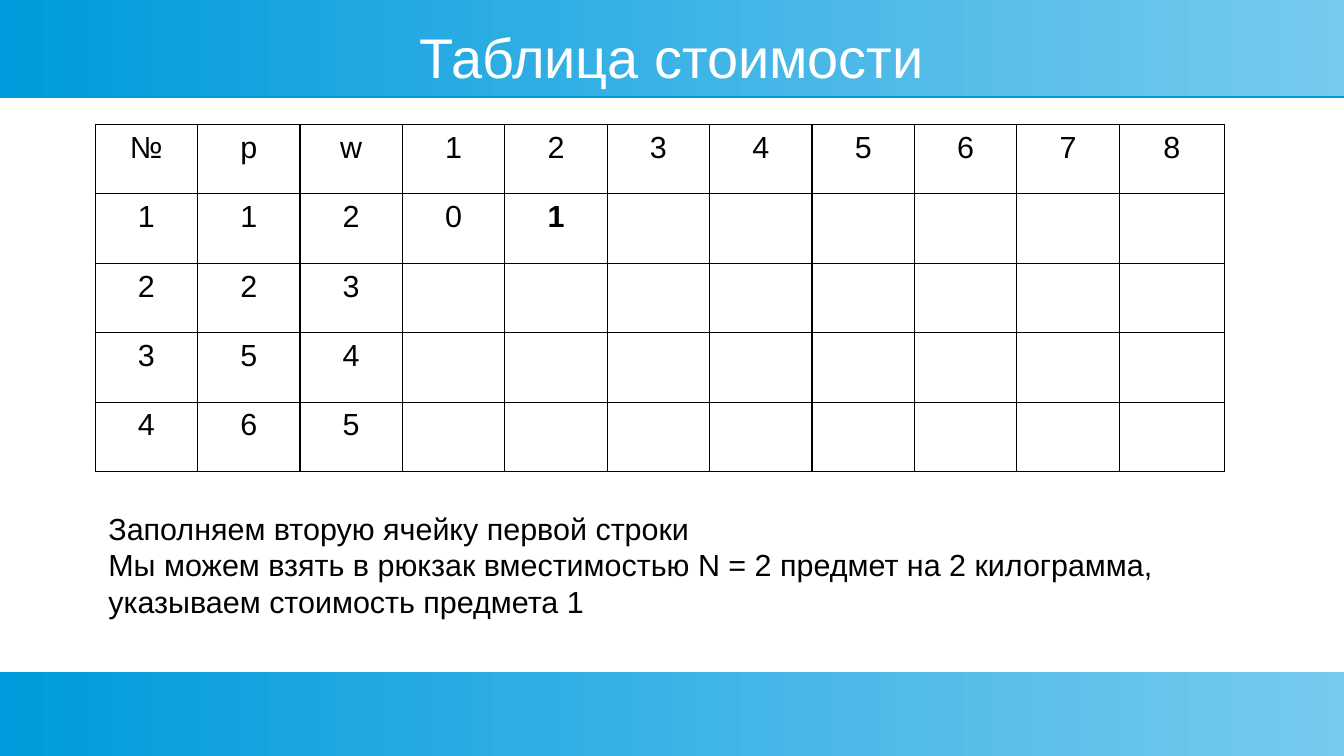
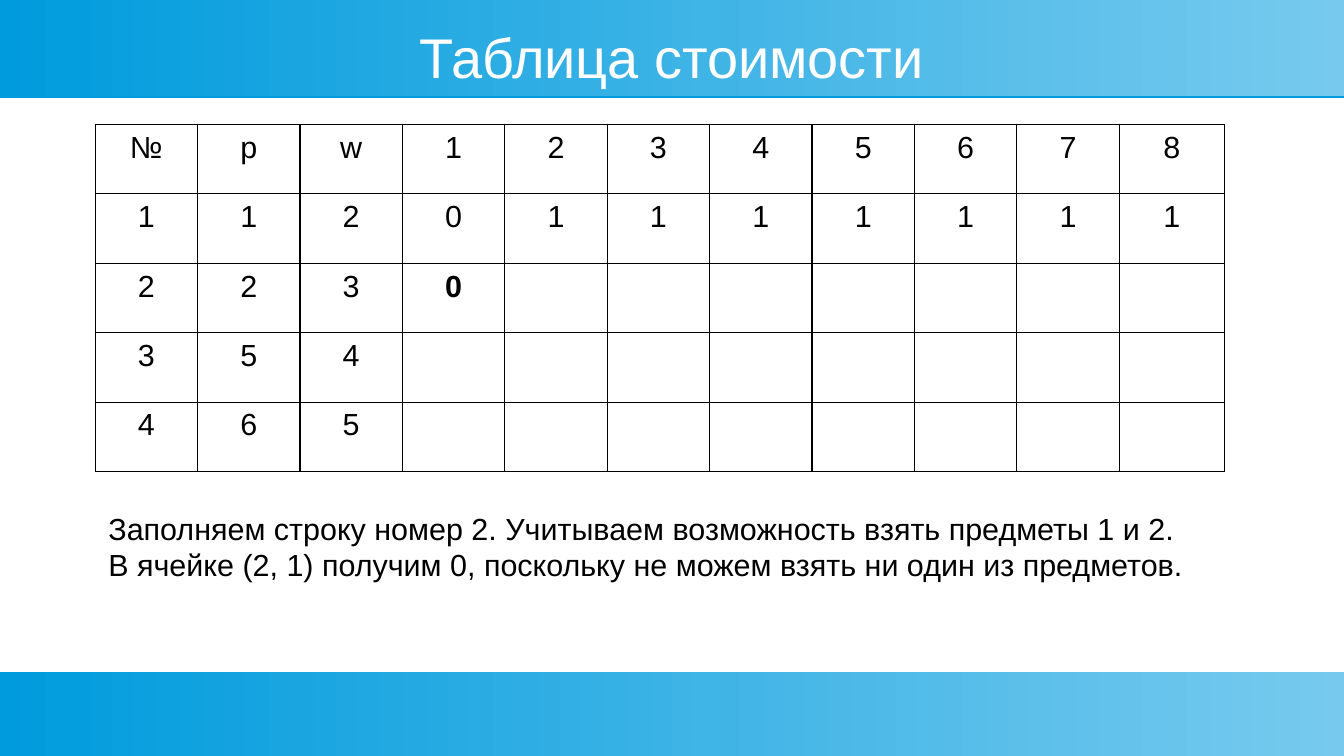
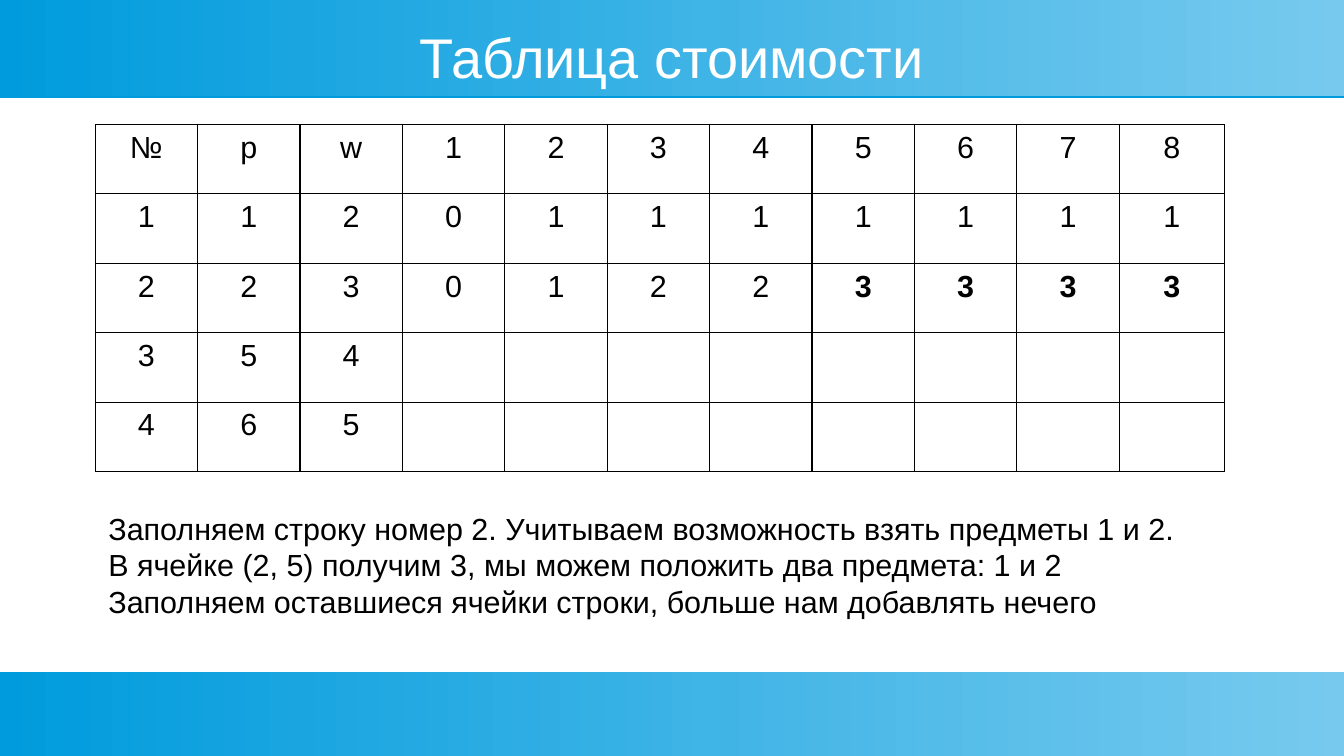
from lxml import etree
from pptx import Presentation
from pptx import util as u
from pptx.dml.color import RGBColor
from pptx.enum import shapes, text
from pptx.oxml import ns

WHITE = RGBColor(0xFF, 0xFF, 0xFF)
BLACK = RGBColor(0x00, 0x00, 0x00)
LIGHT_BLUE = RGBColor(0x77, 0xCA, 0xEE)
BLUE = RGBColor(0x00, 0x9B, 0xDD)
FONT = "Arial"
SLIDE_WIDTH = 11.02
SLIDE_HEIGHT = 6.2
BANDS = [(0, 0.79), (5.51, 0.69)]
TITLE = "Таблица стоимости"
CAPACITIES = range(1, 9)
HEADER = ["№", "p", "w"] + [str(capacity) for capacity in CAPACITIES]
ITEMS = [(1, 2), (2, 3), (5, 4), (6, 5)]
COLUMN_WIDTH = 0.84
LAST_COLUMN_WIDTH = 0.86
ROW_HEIGHT = 0.57

STEPS = [
    (
        [[0, 1]],
        {(1, 2)},
        [
            "Заполняем вторую ячейку первой строки",
            "Мы можем взять в рюкзак вместимостью N = 2 предмет на 2 килограмма, "
            "указываем стоимость предмета 1",
        ],
    ),
    (
        [[0, 1, 1, 1, 1, 1, 1, 1], [0]],
        {(2, 1)},
        [
            "Заполняем строку номер 2. Учитываем возможность взять предметы 1 и 2.",
            "В ячейке (2, 1) получим 0, поскольку не можем взять ни один из предметов.",
        ],
    ),
    (
        [[0, 1, 1, 1, 1, 1, 1, 1], [0, 1, 2, 2, 3, 3, 3, 3]],
        {(2, capacity) for capacity in range(5, 9)},
        [
            "Заполняем строку номер 2. Учитываем возможность взять предметы 1 и 2.",
            "В ячейке (2, 5) получим 3, мы можем положить два предмета: 1 и 2",
            "Заполняем оставшиеся ячейки строки, больше нам добавлять нечего",
        ],
    ),
]


def add_element(parent, tag, **attributes):
    return etree.SubElement(parent, ns.qn(tag), attributes)


def add_run(paragraph, wording, size, color, bold=False):
    run = paragraph.add_run()
    run.text = wording
    run.font.name = FONT
    run.font.size = u.Pt(size)
    run.font.bold = bold
    run.font.color.rgb = color


def add_band(slide, top, height):
    band = slide.shapes.add_shape(
        shapes.MSO_SHAPE.RECTANGLE, 0, u.Inches(top), u.Inches(SLIDE_WIDTH), u.Inches(height)
    )
    band.line.fill.background()
    band.fill.gradient()
    band.fill.gradient_angle = 180
    for stop, color in zip(band.fill.gradient_stops, (LIGHT_BLUE, BLUE)):
        stop.color.rgb = color
    band.shadow.inherit = False
    effects = band.element.spPr.find(ns.qn("a:effectLst"))
    shadow = add_element(
        effects, "a:outerShdw", blurRad="0", dist=str(u.Pt(0.9)), dir="5400000", rotWithShape="0"
    )
    add_element(shadow, "a:srgbClr", val=str(BLUE))
    return band


def move_bands_to_layout(slide, layout):
    for index, (top, height) in enumerate(BANDS):
        layout.shapes.element.insert(2 + index, add_band(slide, top, height).element)


def place_layout_title(layout):
    title = layout.placeholders[0]
    title.left, title.top = u.Inches(0.39), u.Inches(0.2)
    title.width, title.height = u.Inches(10.24), u.Inches(0.52)


def add_title(slide):
    frame = slide.shapes.title.text_frame
    frame.margin_left = frame.margin_right = frame.margin_top = frame.margin_bottom = 0
    frame.vertical_anchor = text.MSO_ANCHOR.MIDDLE
    frame.auto_size = text.MSO_AUTO_SIZE.NONE
    paragraph = frame.paragraphs[0]
    paragraph.alignment = text.PP_ALIGN.CENTER
    add_run(paragraph, TITLE, 33, WHITE)


def set_borders(cell):
    properties = cell._tc.get_or_add_tcPr()
    for index, side in enumerate(("a:lnL", "a:lnR", "a:lnT", "a:lnB")):
        line = add_element(properties, side, w=str(u.Pt(0.75)))
        add_element(add_element(line, "a:solidFill"), "a:srgbClr", val=str(BLACK))
        properties.insert(index, line)


def format_cell(cell, wording, bold):
    cell.margin_left = cell.margin_right = u.Inches(0.04)
    cell.margin_top = cell.margin_bottom = u.Inches(0.05)
    cell.fill.background()
    set_borders(cell)
    if wording:
        paragraph = cell.text_frame.paragraphs[0]
        paragraph.alignment = text.PP_ALIGN.CENTER
        add_run(paragraph, wording, 18, BLACK, bold)


def build_rows(costs):
    rows = [HEADER]
    for number, item in enumerate(ITEMS, 1):
        known = costs[number - 1] if number <= len(costs) else []
        row = [str(value) for value in (number, *item, *known)]
        rows.append(row + [""] * (len(HEADER) - len(row)))
    return rows


def add_cost_table(slide, costs, bold_cells):
    rows = build_rows(costs)
    width = COLUMN_WIDTH * (len(HEADER) - 1) + LAST_COLUMN_WIDTH
    table = slide.shapes.add_table(
        len(rows), len(HEADER), u.Inches(0.78), u.Inches(1.02),
        u.Inches(width), u.Inches(ROW_HEIGHT * len(rows)),
    ).table
    table.first_row = table.horz_banding = False
    for column in table.columns:
        column.width = u.Inches(COLUMN_WIDTH)
    table.columns[len(HEADER) - 1].width = u.Inches(LAST_COLUMN_WIDTH)
    for row_index, row in enumerate(rows):
        table.rows[row_index].height = u.Inches(ROW_HEIGHT)
        for column_index, wording in enumerate(row):
            bold = (row_index, column_index - 2) in bold_cells
            format_cell(table.cell(row_index, column_index), wording, bold)


def add_explanation(slide, lines):
    height = 0.1 + 0.28 * 3 if len(lines) == 3 or len(lines[1]) > 80 else 0.66
    box = slide.shapes.add_textbox(
        u.Inches(0.79), u.Inches(4.13), u.Inches(9.45), u.Inches(height)
    )
    frame = box.text_frame
    frame.word_wrap = True
    for index, line in enumerate(lines):
        paragraph = frame.add_paragraph() if index else frame.paragraphs[0]
        add_run(paragraph, line, 18, BLACK)


def main():
    presentation = Presentation()
    presentation.slide_width = u.Inches(SLIDE_WIDTH)
    presentation.slide_height = u.Inches(SLIDE_HEIGHT)
    layout = presentation.slide_layouts[5]
    place_layout_title(layout)
    for index, (costs, bold_cells, lines) in enumerate(STEPS):
        slide = presentation.slides.add_slide(layout)
        if index == 0:
            move_bands_to_layout(slide, layout)
        add_title(slide)
        add_cost_table(slide, costs, bold_cells)
        add_explanation(slide, lines)
    presentation.save("out.pptx")


if __name__ == "__main__":
    main()
